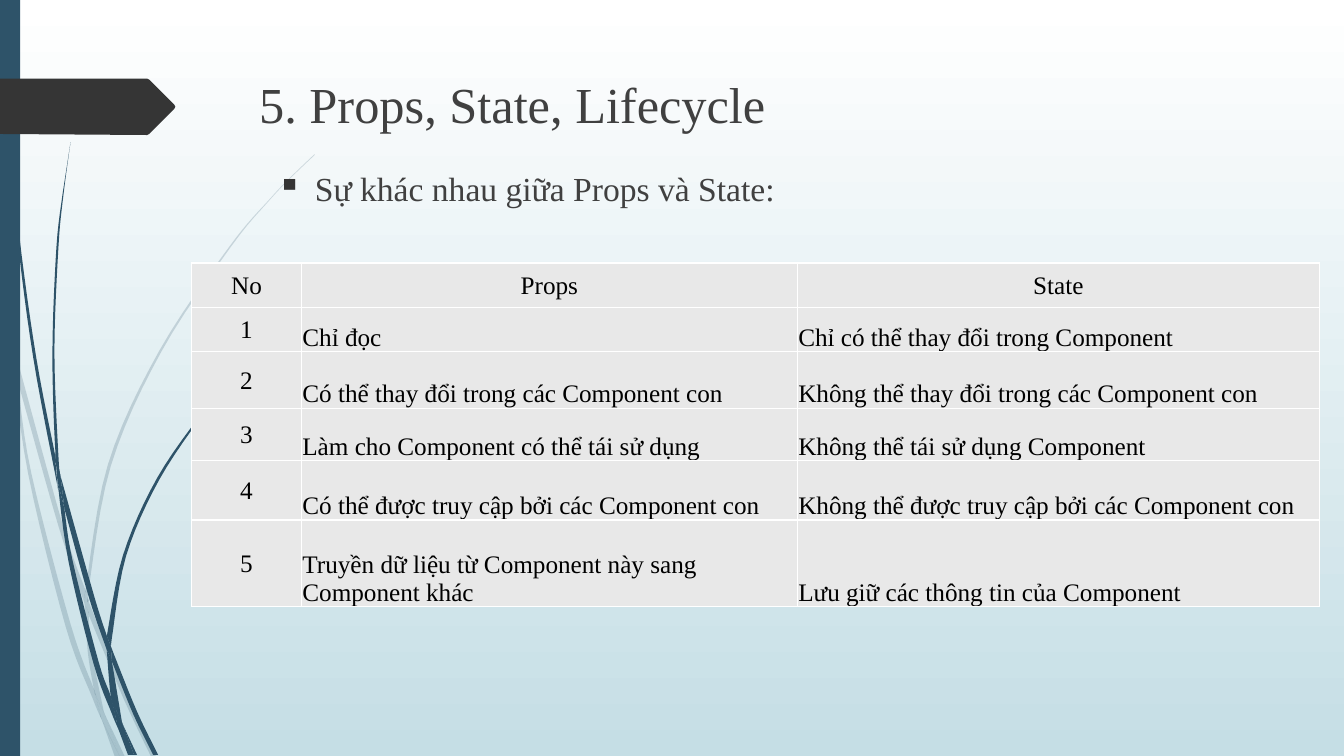
from lxml import etree
from pptx import Presentation
from pptx import util as u
from pptx.dml import color
from pptx.enum import shapes, text
from pptx.oxml import ns

FONT = "Times New Roman"
BLUE, CHARCOAL, GREY = "2E5369", "353535", "404040"
STRAND_UNIT = 0.72
BACK_STRANDS = [
    "11,350 9,322 0,282|0,299 10,344 11,350",
    "17,376 58,522 84,599|85,586 62,520 14,345",
    "88,610 123,694 150,751|155,751 127,692 92,607 88,596",
    "119,751 124,751|105,711",
    "93,683 70,619 31,469 17,376 11,350|11,350 28,470 65,621 92,693 101,714|99,707 93,683",
    "84,599 87,646 93,683 96,692 105,711|103,706 91,646 88,610 88,608 84,599",
    "88,596 88,584 110,462 160,349 229,245 268,198 290,175 312,154"
    "|312,153 289,175 268,197 228,244 158,348 107,461 85,584 85,586",
    "101,714 114,751|119,751",
    "88,608 88,610|88,596 85,586|84,599",
    "93,683 99,707 101,714 119,751|105,711 96,692",
]
FRONT_STRANDS = [
    "3,0 4,48 7,110 17,233 33,355 56,477 57,481|55,457 55,453 36,355 19,232 8,109 5,48 4,0",
    "64,505 88,592 106,645|106,633 106,631 93,590 60,472",
    "110,641|111,656 132,708 152,749|157,749 136,706 113,649",
    "57,477 68,557 93,659 111,708 117,722|116,717 110,691 98,657 72,556 64,505",
    "60,472 58,453 54,349 58,245 63,193 70,141|62,193 56,245 52,349 55,449 60,472",
    "133,749 136,749|122,719",
    "57,477 64,505|60,472 55,449|55,453",
    "111,633 125,552 158,476 205,406 231,374 245,359 261,344"
    "|260,344 245,358 231,373 204,405 156,474 122,551 106,631|110,641",
    "117,722 127,749|131,749",
    "106,645 110,691 116,706 122,719|121,716 111,656 109,651",
    "106,645 109,651 111,656|110,641 106,631",
    "110,691 116,717 117,722 130,749|133,749 122,719 116,706",
]
PAGE_TAG = "0,78 146,78|148,79 173,104|174,106 173,108|148,133 146,134|0,133"
COLUMN_WIDTHS = [78.5, 354.2, 373]
ROW_HEIGHTS = [31.7, 31.7, 40.3, 37.4, 42.5, 61.9]
ROWS = [
    ("No", "Props", "State"),
    ("1", "Chỉ đọc", "Chỉ có thể thay đổi trong Component"),
    ("2", "Có thể thay đổi trong các Component con", "Không thể thay đổi trong các Component con"),
    ("3", "Làm cho Component có thể tái sử dụng", "Không thể tái sử dụng Component"),
    ("4", "Có thể được truy cập bởi các Component con",
     "Không thể được truy cập bởi các Component con"),
    ("5", "Truyền dữ liệu từ Component này sang Component khác",
     "Lưu giữ các thông tin của Component"),
]


def rgb(value):
    """Turn a hex string into a colour."""
    return color.RGBColor.from_string(value)


def apply_format(target, values):
    """Set every attribute of the target named in the dict."""
    for name, value in values.items():
        setattr(target, name, value)


def format_text(paragraph, size, colour):
    """Give a paragraph its font, size and colour."""
    apply_format(paragraph.font, {"name": FONT, "size": u.Pt(size)})
    paragraph.font.color.rgb = rgb(colour)


def paint(shape, colour):
    """Fill a shape plainly, without line or shadow."""
    shape.fill.solid()
    shape.fill.fore_color.rgb = rgb(colour)
    shape.line.fill.background()
    shape.shadow.inherit = False


def smooth(edge, steps=6):
    """Return points along a smooth curve through the points of an edge."""
    if len(edge) < 3:
        return edge
    padded = [edge[0], *edge, edge[-1]]
    curve = [edge[0]]
    for a, b, c, d in zip(padded, padded[1:], padded[2:], padded[3:]):
        for step in range(1, steps + 1):
            t = step / steps
            curve.append(tuple(
                q + t * (r - p) / 2 + t * t * (p - 2.5 * q + 2 * r - s / 2)
                + t ** 3 * (3 * q - p - 3 * r + s) / 2
                for p, q, r, s in zip(a, b, c, d)))
    return curve


def add_outline(slide, left, top, outline, colour, opacity=None):
    """Draw a closed outline whose edges are separated by bars."""
    points = []
    for edge in outline.split("|"):
        corners = [tuple(map(int, pair.split(","))) for pair in edge.split()]
        points += smooth(corners)
    points = [(u.Pt(left + STRAND_UNIT * x), u.Pt(top + STRAND_UNIT * y)) for x, y in points]
    builder = slide.shapes.build_freeform(*points[0])
    builder.add_line_segments(points[1:], close=True)
    shape = builder.convert_to_shape()
    paint(shape, colour)
    if opacity is not None:
        fill_colour = shape._element.spPr.find(f"{ns.qn('a:solidFill')}/{ns.qn('a:srgbClr')}")
        etree.SubElement(fill_colour, ns.qn("a:alpha"), val=str(opacity * 1000))


def add_decoration(slide, left, top, height):
    """Draw the strands, the side bar and the page tag."""
    for strand in BACK_STRANDS:
        add_outline(slide, left, top, strand, BLUE, 20)
    for strand in FRONT_STRANDS:
        add_outline(slide, left, top, strand, BLUE)
    side_bar = slide.shapes.add_shape(
        shapes.MSO_SHAPE.RECTANGLE, u.Pt(left), u.Pt(top), u.Pt(14.4), u.Pt(height))
    paint(side_bar, BLUE)
    add_outline(slide, left, top, PAGE_TAG, CHARCOAL)


def add_text(slide, left, top, width, height, words, size, bullet=None):
    """Add a line of text, with a bullet if one is given."""
    frame = slide.shapes.add_textbox(*map(u.Pt, (left, top, width, height))).text_frame
    frame.word_wrap = True
    paragraph = frame.paragraphs[0]
    paragraph.text = words
    if bullet:
        properties = paragraph._p.get_or_add_pPr()
        apply_indent = {"marL": u.Pt(27), "indent": -u.Pt(27)}
        for name, value in apply_indent.items():
            properties.set(name, str(value))
        bullet_colour = etree.SubElement(properties, ns.qn("a:buClr"))
        etree.SubElement(bullet_colour, ns.qn("a:srgbClr"), val=CHARCOAL)
        etree.SubElement(properties, ns.qn("a:buChar"), char=bullet)
    format_text(paragraph, size, GREY)


def add_borders(cell, colour, width):
    """Draw the four borders of a table cell."""
    properties = cell._tc.get_or_add_tcPr()
    for index, side in enumerate(("lnL", "lnR", "lnT", "lnB")):
        line = etree.Element(ns.qn(f"a:{side}"), w=str(u.Pt(width)))
        fill = etree.SubElement(line, ns.qn("a:solidFill"))
        etree.SubElement(fill, ns.qn("a:srgbClr"), val=colour)
        properties.insert(index, line)


def add_comparison(slide, left, top):
    """Add the table that compares props with state."""
    frame = slide.shapes.add_table(
        len(ROWS), len(COLUMN_WIDTHS), u.Pt(left), u.Pt(top),
        u.Pt(sum(COLUMN_WIDTHS)), u.Pt(sum(ROW_HEIGHTS)))
    table = frame.table
    apply_format(table, {"first_row": False, "horz_banding": False})
    for column, width in zip(table.columns, COLUMN_WIDTHS):
        column.width = u.Pt(width)
    for row, height in zip(table.rows, ROW_HEIGHTS):
        row.height = u.Pt(height)
    for row_index, row in enumerate(ROWS):
        for column_index, words in enumerate(row):
            centred = row_index == 0 or column_index == 0
            cell = table.cell(row_index, column_index)
            cell.text = words
            apply_format(cell, {
                "margin_left": u.Pt(0.72), "margin_right": u.Pt(0.72),
                "margin_top": u.Pt(0.72), "margin_bottom": 0,
                "vertical_anchor": text.MSO_ANCHOR.MIDDLE if centred else text.MSO_ANCHOR.BOTTOM})
            cell.fill.solid()
            cell.fill.fore_color.rgb = rgb("E8E8E8")
            add_borders(cell, "FFFFFF", 1)
            paragraph = cell.text_frame.paragraphs[0]
            paragraph.alignment = text.PP_ALIGN.CENTER if centred else text.PP_ALIGN.LEFT
            format_text(paragraph, 18, "000000")


def add_background(slide):
    """Fade the background from white down to pale blue."""
    fill = slide.background.fill
    fill.gradient()
    fill.gradient_angle = 270
    for stop, colour in zip(fill.gradient_stops, ("FFFFFF", "C5DEE5")):
        stop.color.rgb = rgb(colour)


def main():
    """Build and save the presentation."""
    presentation = Presentation()
    apply_format(presentation, {"slide_width": u.Pt(960), "slide_height": u.Pt(540)})
    slide = presentation.slides.add_slide(presentation.slide_layouts[6])
    add_background(slide)
    add_decoration(slide, 0, 0, 540)
    add_text(slide, 178, 49, 728, 68, "5. Props, State, Lifecycle", 36)
    add_text(slide, 190.8, 116.6, 702, 50.4, "Sự khác nhau giữa Props và State:", 24, "▪")
    add_comparison(slide, 136.8, 187.9)
    presentation.save("out.pptx")


if __name__ == "__main__":
    main()
